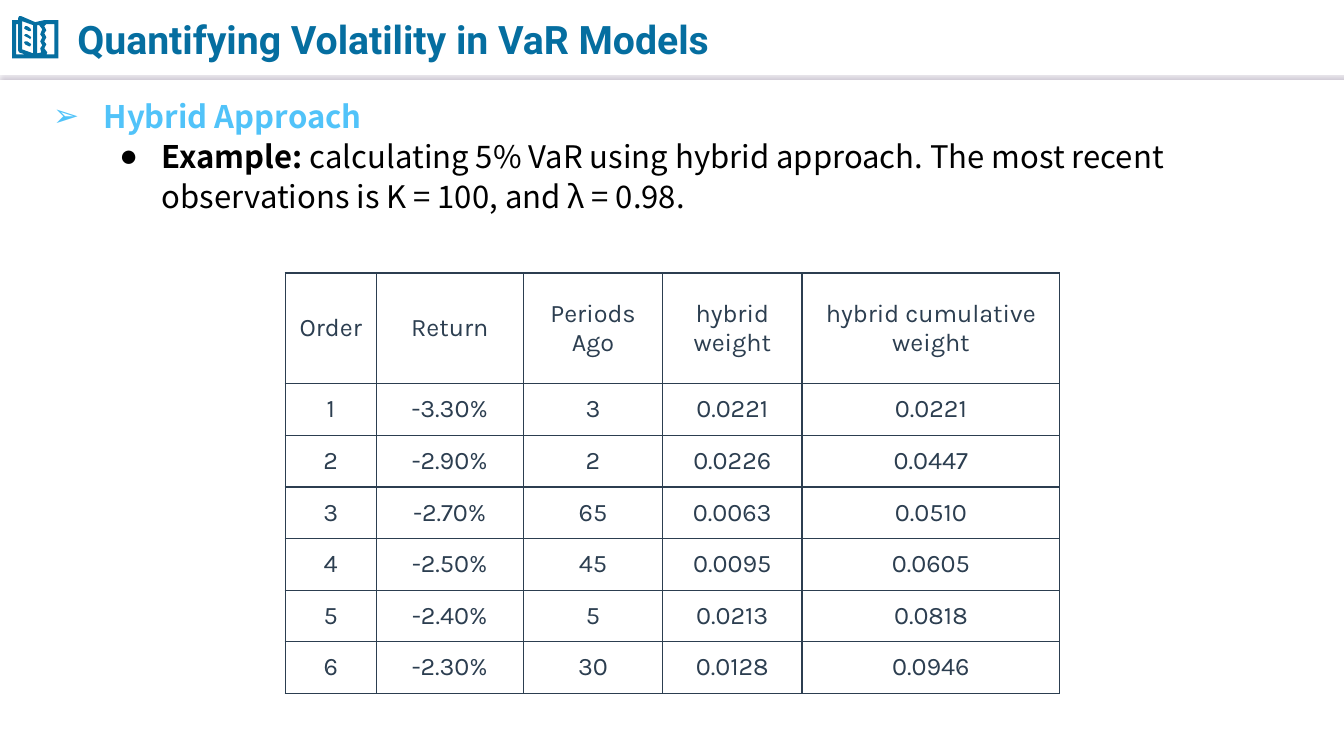
from lxml import etree
from pptx import Presentation
from pptx.dml.color import RGBColor
from pptx.enum.shapes import MSO_CONNECTOR
from pptx.enum.text import MSO_ANCHOR, PP_ALIGN
from pptx.oxml.ns import qn
from pptx.util import Cm, Pt

STRAIGHT = MSO_CONNECTOR.STRAIGHT
MIDDLE = MSO_ANCHOR.MIDDLE
CENTER = PP_ALIGN.CENTER

COLORS = {
    "title": "056EA0",
    "heading": "51C3F9",
    "body": "000000",
    "table": "2C3E50",
    "rule": "FFFFFF",
    "rule_shadow": "BCB4C4",
}

# Content
TITLE = "Quantifying Volatility in VaR Models"
# Each paragraph: bullet, text indent and hanging indent in cm, spans (text, bold, colour)
BODY = [
    ("➢", 1.27, 1.27, [("Hybrid Approach", True, "heading")]),
    ("●", 2.74, 1.07, [
        ("Example: ", True, "body"),
        ("calculating 5% VaR using hybrid approach. The most recent "
         "observations is K = 100, and λ = 0.98.", False, "body"),
    ]),
]
ROWS = [
    ("Order", "Return", "Periods Ago", "hybrid weight", "hybrid cumulative weight"),
    ("1", "-3.30%", "3", "0.0221", "0.0221"),
    ("2", "-2.90%", "2", "0.0226", "0.0447"),
    ("3", "-2.70%", "65", "0.0063", "0.0510"),
    ("4", "-2.50%", "45", "0.0095", "0.0605"),
    ("5", "-2.40%", "5", "0.0213", "0.0818"),
    ("6", "-2.30%", "30", "0.0128", "0.0946"),
]
COLUMN_WIDTHS = (2.29, 3.71, 3.51, 3.51, 6.5)
HEADER_HEIGHT, ROW_HEIGHT = 2.79, 1.3

# Book icon outlines, in hundredths of an inch from the page corner
BOOK_COVER = [(21, 16), (35, 22), (44, 20), (56, 20), (57.5, 20.5), (58, 22),
              (58, 56), (57.5, 57.5), (56, 58), (14, 58), (12.5, 57.5), (12, 56),
              (12, 22), (12.5, 20.5), (14, 20), (18, 20), (18, 18), (19, 16.5)]
FRONT_PAGE = [(22, 21), (22, 49), (33, 53), (33, 25)]
LEFT_PAGE = [(16, 24), (16, 54), (25, 54), (19, 52), (18, 50), (18, 24)]
TORN_EDGE = [(42, 29), (39.5, 33.5), (42, 37), (39.5, 41), (42, 45), (39.5, 48.5), (41, 52)]
MIDDLE_PAGE = [(37, 53), (37, 25), (39, 25)] + TORN_EDGE
RIGHT_PAGE = [(46, 24), (44, 26), (46.5, 29.5), (44, 33), (46.5, 37), (44, 41),
              (46.5, 44.5), (44, 48), (47, 52), (46, 54), (54, 54), (54, 24)]
TEXT_MARK = [(25, 26), (27, 26), (30, 28), (31.3, 29.5), (30.5, 31.3),
             (29, 31), (25, 29), (24, 27.5)]
TEXT_MARKS = [[(x, y + step * 7.5) for x, y in TEXT_MARK] for step in range(3)]


def rgb(name):
    return RGBColor.from_string(COLORS[name])


def style(span, size, font, color, bold=False):
    span.font.size = Pt(size)
    span.font.name = font
    span.font.bold = bold
    span.font.color.rgb = rgb(color)
    properties = span.font._element
    for tag in ("a:ea", "a:sym"):
        etree.SubElement(properties, qn(tag), typeface=font)


def add_text_box(page, left, top, width, height):
    box = page.shapes.add_textbox(Cm(left), Cm(top), Cm(width), Cm(height))
    box.text_frame.word_wrap = True
    return box.text_frame


def set_bullet(para, bullet, indent, hanging):
    properties = para._p.get_or_add_pPr()
    properties.set("marL", str(Cm(indent)))
    properties.set("indent", str(-Cm(hanging)))
    etree.SubElement(properties, qn("a:buFont"), typeface="Arial")
    etree.SubElement(properties, qn("a:buChar"), char=bullet)


def set_borders(cell):
    properties = cell._tc.get_or_add_tcPr()
    for place, side in enumerate(("a:lnL", "a:lnR", "a:lnT", "a:lnB")):
        border = etree.Element(qn(side), w=str(Pt(1)))
        fill = etree.SubElement(border, qn("a:solidFill"))
        etree.SubElement(fill, qn("a:srgbClr"), val=COLORS["table"])
        properties.insert(place, border)


def add_header(page, page_width):
    # Rule with a shadow below it
    rule = page.shapes.add_connector(STRAIGHT, 0, Cm(1.85), page_width, Cm(1.85))
    rule.line.color.rgb = rgb("rule")
    rule.line.width = Pt(0.75)
    effects = etree.SubElement(rule._element.spPr, qn("a:effectLst"))
    shadow = etree.SubElement(effects, qn("a:outerShdw"), blurRad=str(Pt(1)),
                              dist=str(Pt(3)), dir="5400000", algn="t", rotWithShape="0")
    etree.SubElement(shadow, qn("a:srgbClr"), val=COLORS["rule_shadow"])

    # Book icon
    builder = page.shapes.build_freeform(*BOOK_COVER[0], scale=Cm(2.54) / 100)
    builder.add_line_segments(BOOK_COVER[1:], close=True)
    for outline in [FRONT_PAGE, LEFT_PAGE, MIDDLE_PAGE, RIGHT_PAGE] + TEXT_MARKS:
        builder.move_to(*outline[0])
        builder.add_line_segments(outline[1:], close=True)
    book = builder.convert_to_shape()
    book.shadow.inherit = False
    book.fill.solid()
    book.fill.fore_color.rgb = rgb("title")
    book.line.fill.background()

    # Title
    frame = add_text_box(page, 1.7, 0.18, 18.69, 1.6)
    frame.vertical_anchor = MIDDLE
    frame.text = TITLE
    style(frame.paragraphs[0].runs[0], 28, "Roboto", "title", True)


def add_body(page):
    frame = add_text_box(page, 1.09, 2.26, 31.67, 4.14)
    for number, (bullet, indent, hanging, spans) in enumerate(BODY):
        para = frame.add_paragraph() if number else frame.paragraphs[0]
        para.line_spacing = 1.07
        set_bullet(para, bullet, indent, hanging)
        for text, bold, color in spans:
            span = para.add_run()
            span.text = text
            style(span, 22.2, "Noto Sans CJK SC", color, bold)


def add_weights_table(page):
    heights = [HEADER_HEIGHT] + [ROW_HEIGHT] * (len(ROWS) - 1)
    holder = page.shapes.add_table(len(ROWS), len(COLUMN_WIDTHS), Cm(7.19), Cm(6.88),
                                   Cm(sum(COLUMN_WIDTHS)), Cm(sum(heights)))
    table = holder.table
    table.first_row = table.horz_banding = False
    for column, width in zip(table.columns, COLUMN_WIDTHS):
        column.width = Cm(width)
    for row, height, values in zip(table.rows, heights, ROWS):
        row.height = Cm(height)
        for cell, value in zip(row.cells, values):
            cell.fill.background()
            set_borders(cell)
            cell.vertical_anchor = MIDDLE
            cell.margin_left = cell.margin_right = Cm(0.1)
            cell.margin_top = cell.margin_bottom = Cm(0.1)
            cell.text_frame.text = value
            para = cell.text_frame.paragraphs[0]
            para.alignment = CENTER
            style(para.runs[0], 18, "Karla", "table")


def main():
    deck = Presentation()
    deck.slide_width, deck.slide_height = Cm(33.87), Cm(19.05)
    page = deck.slides.add_slide(deck.slide_layouts[6])
    add_header(page, deck.slide_width)
    add_body(page)
    add_weights_table(page)
    deck.save("out.pptx")


if __name__ == "__main__":
    main()
